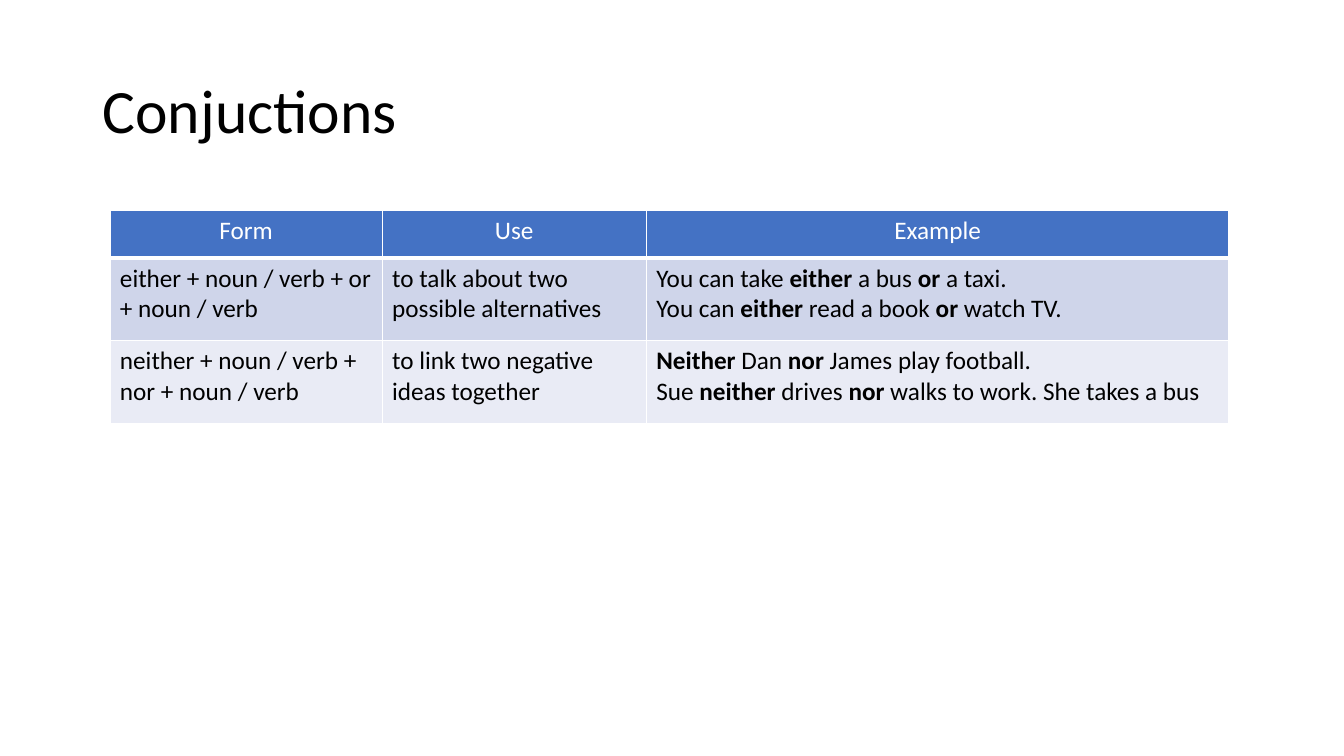
from lxml import etree
from pptx import Presentation
from pptx.dml.color import RGBColor
from pptx.enum import text
from pptx.oxml import ns
from pptx.util import Inches, Pt

BLACK = RGBColor(0x00, 0x00, 0x00)
WHITE = RGBColor(0xFF, 0xFF, 0xFF)
BLUE = RGBColor(0x44, 0x72, 0xC4)
BAND_DARK = RGBColor(0xCF, 0xD5, 0xEA)
BAND_LIGHT = RGBColor(0xE9, 0xEB, 0xF5)

ROWS = [
    ["Form", "Use", "Example"],
    ["either + noun / verb + or + noun / verb",
     "to talk about two possible alternatives",
     "You can take *either* a bus *or* a taxi.\n"
     "You can *either* read a book *or* watch TV."],
    ["neither + noun / verb + nor + noun / verb",
     "to link two negative ideas together",
     "*Neither* Dan *nor* James play football.\n"
     "Sue *neither* drives *nor* walks to work. She takes a bus"],
]
COLUMN_WIDTHS = [2.7, 2.62, 5.78]
ROW_HEIGHTS = [0.47, 0.82, 0.82]
ROW_FILLS = [BLUE, BAND_DARK, BAND_LIGHT]
HEADER_BORDERS = {"lnL": 1, "lnR": 1, "lnT": 1, "lnB": 3}


class Deck:
    font = "Calibri"

    def __init__(self):
        self.prs = Presentation()
        self.prs.slide_width = Inches(13.33)
        self.prs.slide_height = Inches(7.5)
        self.s = self.prs.slides.add_slide(self.prs.slide_layouts[6])

    def add_runs(self, tf, content, size, color, align=text.PP_ALIGN.LEFT):
        for i, line in enumerate(content.split("\n")):
            p = tf.add_paragraph() if i else tf.paragraphs[0]
            p.alignment = align
            for j, part in enumerate(line.split("*")):
                if part:
                    r = p.add_run()
                    r.text = part
                    r.font.name = self.font
                    r.font.size = Pt(size)
                    r.font.bold = j % 2 == 1
                    r.font.color.rgb = color

    def title(self, content, left, top, width, height):
        sp = self.s.shapes.add_textbox(
            Inches(left), Inches(top), Inches(width), Inches(height))
        tf = sp.text_frame
        tf.word_wrap = True
        tf.vertical_anchor = text.MSO_ANCHOR.MIDDLE
        self.add_runs(tf, content, 44, BLACK)
        tf.paragraphs[0].line_spacing = 0.9

    def border(self, cell, side, width):
        ln = etree.SubElement(cell._tc.get_or_add_tcPr(), ns.qn("a:" + side),
                              w=str(Pt(width)))
        fill = etree.SubElement(ln, ns.qn("a:solidFill"))
        etree.SubElement(fill, ns.qn("a:srgbClr"), val=str(WHITE))

    def table(self, rows, left, top):
        table = self.s.shapes.add_table(
            len(rows), len(COLUMN_WIDTHS), Inches(left), Inches(top),
            Inches(sum(COLUMN_WIDTHS)), Inches(sum(ROW_HEIGHTS))).table
        for column, width in zip(table.columns, COLUMN_WIDTHS):
            column.width = Inches(width)
        for i, row in enumerate(rows):
            table.rows[i].height = Inches(ROW_HEIGHTS[i])
            header = i == 0
            color = WHITE if header else BLACK
            align = text.PP_ALIGN.CENTER if header else text.PP_ALIGN.LEFT
            for j, content in enumerate(row):
                cell = table.cell(i, j)
                if header:
                    for side, width in HEADER_BORDERS.items():
                        self.border(cell, side, width)
                cell.fill.solid()
                cell.fill.fore_color.rgb = ROW_FILLS[i]
                self.add_runs(cell.text_frame, content, 18, color, align)


def main():
    deck = Deck()
    deck.title("Conjuctions", 0.92, 0.4, 11.5, 1.45)
    deck.table(ROWS, 1.09, 2.09)
    deck.prs.save("out.pptx")


if __name__ == "__main__":
    main()
